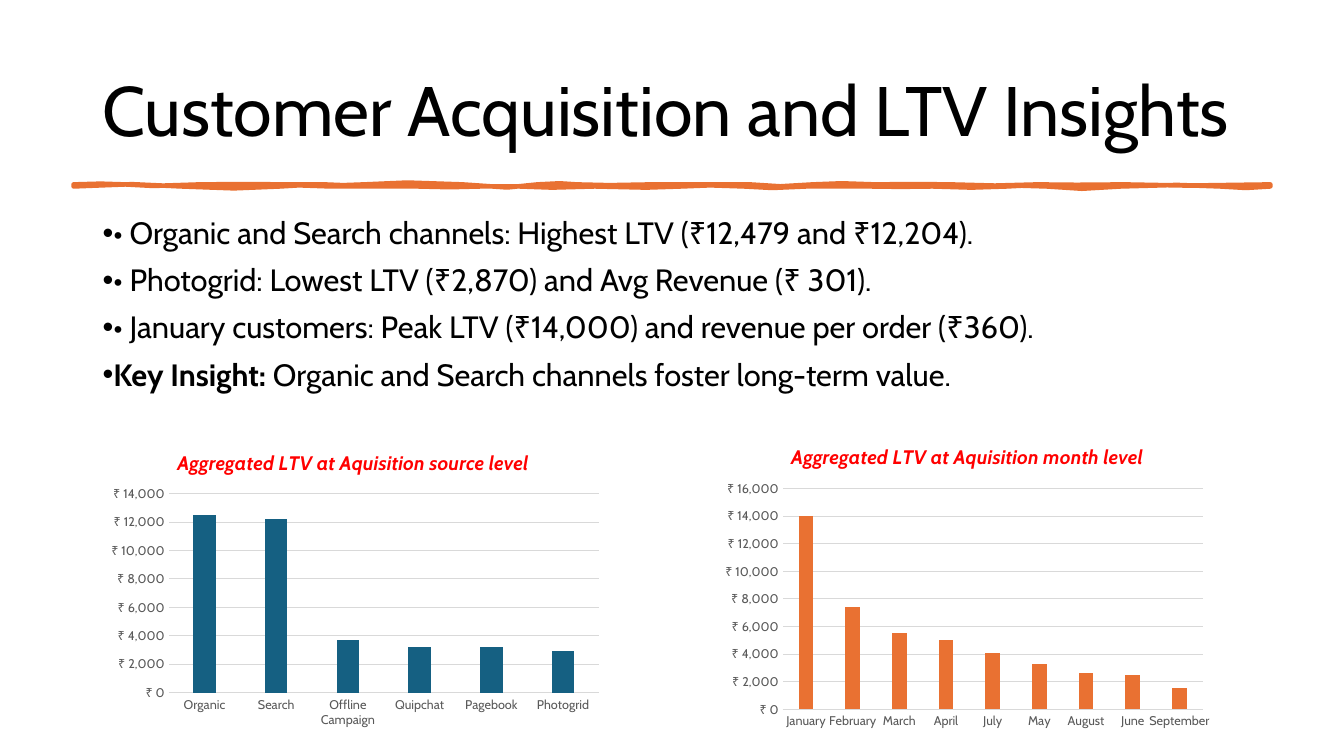
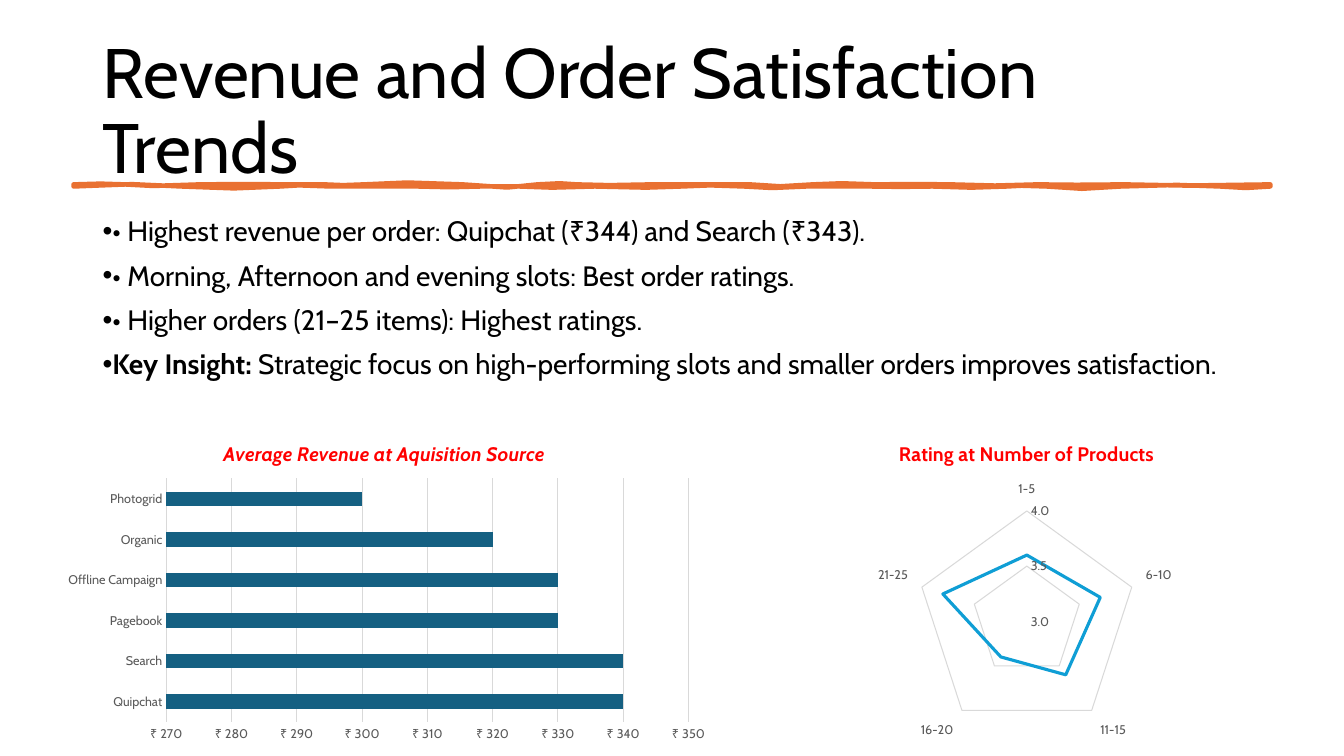
"""Build two customer insight slides with bullets and charts."""
import dataclasses

import lxml.etree
import pptx
import pptx.chart.data
import pptx.dml.color
import pptx.enum.chart
import pptx.enum.text
import pptx.oxml.ns
import pptx.util

Inches = pptx.util.Inches
Pt = pptx.util.Pt
qn = pptx.oxml.ns.qn
ChartType = pptx.enum.chart.XL_CHART_TYPE


def rgb(code):
    return pptx.dml.color.RGBColor.from_string(code)


@dataclasses.dataclass(frozen=True)
class Theme:
    font: str = "Cabin"
    bullet_font: str = "Arial"
    ink: str = "000000"
    label: str = "595959"
    grid: str = "D9D9D9"
    heading: str = "FF0000"
    orange: str = "E97132"
    teal: str = "156082"
    sky: str = "0F9ED5"
    title_size: int = 50
    heading_size: int = 14
    chart_size: int = 10
    label_size: int = 9


THEME = Theme()
RUPEES = '"₹"\\ #,##0'
KEY_INSIGHT = "Key Insight: "
BRUSH_START = (0.73, 1.83)
BRUSH_CURVES = [
    (0.89, 1.81, 1.11, 1.83, 1.24, 1.83), (1.36, 1.84, 1.62, 1.86, 1.98, 1.83),
    (2.34, 1.81, 2.51, 1.84, 2.84, 1.83), (3.17, 1.83, 3.07, 1.83, 3.22, 1.83),
    (3.38, 1.84, 3.42, 1.84, 3.61, 1.83), (3.8, 1.82, 4.24, 1.79, 4.59, 1.83),
    (4.94, 1.88, 5.17, 1.86, 5.33, 1.83), (5.49, 1.81, 5.63, 1.82, 5.72, 1.83),
    (5.81, 1.85, 6.25, 1.83, 6.46, 1.83), (6.67, 1.84, 7.23, 1.82, 7.44, 1.83),
    (7.65, 1.85, 7.82, 1.86, 8.06, 1.83), (8.3, 1.81, 8.38, 1.82, 8.68, 1.83),
    (8.99, 1.85, 9.14, 1.8, 9.43, 1.83), (9.72, 1.87, 10.02, 1.82, 10.29, 1.83),
    (10.55, 1.85, 10.78, 1.82, 11.15, 1.83), (11.51, 1.85, 11.99, 1.84, 12.6, 1.83),
    (12.6, 1.84, 12.6, 1.84, 12.6, 1.85), (12.42, 1.87, 12.3, 1.87, 12.1, 1.85),
    (11.9, 1.84, 11.49, 1.82, 11.12, 1.85), (10.75, 1.89, 10.7, 1.87, 10.38, 1.85),
    (10.05, 1.84, 10.18, 1.84, 9.99, 1.85), (9.8, 1.87, 9.48, 1.86, 9.25, 1.85),
    (9.02, 1.85, 8.84, 1.86, 8.63, 1.85), (8.41, 1.85, 8.28, 1.85, 8, 1.85),
    (7.73, 1.86, 7.57, 1.88, 7.38, 1.85), (7.19, 1.83, 6.88, 1.84, 6.76, 1.85),
    (6.63, 1.87, 6.24, 1.86, 5.9, 1.85), (5.55, 1.85, 5.37, 1.88, 5.15, 1.85),
    (4.94, 1.83, 4.91, 1.87, 4.77, 1.85), (4.63, 1.84, 4.3, 1.88, 4.14, 1.85),
    (3.99, 1.83, 3.71, 1.87, 3.28, 1.85), (2.86, 1.83, 3.03, 1.84, 2.78, 1.85),
    (2.53, 1.87, 2.13, 1.88, 1.8, 1.85), (1.47, 1.82, 1.18, 1.82, 0.73, 1.85),
]


def brush_points(steps=2):
    x0, y0 = BRUSH_START
    for x1, y1, x2, y2, x3, y3 in BRUSH_CURVES:
        for step in range(1, steps + 1):
            t = step / steps
            weights = ((1 - t) ** 3, 3 * t * (1 - t) ** 2, 3 * t * t * (1 - t), t ** 3)
            x, y = (sum(w * c for w, c in zip(weights, axis))
                    for axis in ((x0, x1, x2, x3), (y0, y1, y2, y3)))
            yield Inches(x), Inches(y)
        x0, y0 = x3, y3


def place(parent, index, **fractions):
    for old in parent.findall(qn("c:layout")):
        parent.remove(old)
    layout = lxml.etree.Element(qn("c:layout"))
    parent.insert(index, layout)
    manual = lxml.etree.SubElement(layout, qn("c:manualLayout"))
    settings = {"xMode": "edge", "yMode": "edge", **fractions}
    if "w" in fractions:
        settings = {"layoutTarget": "inner", **settings}
    for tag, value in settings.items():
        lxml.etree.SubElement(manual, qn(f"c:{tag}")).set("val", str(value))


class Deck:
    def __init__(self, theme):
        self.theme = theme
        self.presentation = pptx.Presentation()
        self.presentation.slide_width = Inches(13.33)
        self.presentation.slide_height = Inches(7.5)
        self.slide = None

    def style(self, font, size, color, bold=None, italic=None):
        font.name, font.size = self.theme.font, Pt(size)
        font.color.rgb = rgb(color)
        font.bold, font.italic = bold, italic

    def text_frame(self, top, height):
        frame = self.slide.shapes.add_textbox(
            Inches(0.92), Inches(top), Inches(11.5), Inches(height)).text_frame
        frame.word_wrap = True
        return frame

    def add_slide(self, title):
        self.slide = self.presentation.slides.add_slide(self.presentation.slide_layouts[6])
        frame = self.text_frame(0.4, 1.45)
        frame.vertical_anchor = pptx.enum.text.MSO_ANCHOR.MIDDLE
        heading = frame.paragraphs[0]
        heading.text = title
        heading.line_spacing = 0.9
        self.style(heading.font, self.theme.title_size, self.theme.ink)
        self.add_brush_rule()

    def add_brush_rule(self):
        start_x, start_y = BRUSH_START
        builder = self.slide.shapes.build_freeform(Inches(start_x), Inches(start_y))
        builder.add_line_segments(list(brush_points()), close=True)
        rule = builder.convert_to_shape()
        rule.shadow.inherit = False
        rule.fill.solid()
        rule.fill.fore_color.rgb = rgb(self.theme.orange)
        rule.line.color.rgb = rgb(self.theme.orange)
        rule.line.width = Pt(3.25)

    def add_bullets(self, size, findings, insight):
        frame = self.text_frame(2.11, 4.65)
        for number, finding in enumerate([*findings, insight]):
            point = frame.add_paragraph() if number else frame.paragraphs[0]
            properties = point._p.get_or_add_pPr()
            properties.set("marL", "0")
            properties.set("indent", str(-Inches(0.25)))
            lxml.etree.SubElement(properties, qn("a:buFont")).set(
                "typeface", self.theme.bullet_font)
            lxml.etree.SubElement(properties, qn("a:buChar")).set("char", "•")
            point.line_spacing = 0.9
            if number:
                point.space_before = Pt(10)
            if finding is insight:
                lead = point.add_run()
                lead.text = KEY_INSIGHT
                lead.font.bold = True
            point.add_run().text = finding
            self.style(point.font, size, self.theme.ink)

    def add_chart(self, kind, box, title, values, color, plot_area, title_x,
                  number_format=RUPEES, scale=None, gap=219, overlap=0, italic=True):
        theme = self.theme
        data = pptx.chart.data.CategoryChartData()
        data.categories = list(values)
        data.add_series("Series 1", list(values.values()))
        chart = self.slide.shapes.add_chart(kind, *map(Inches, box), data).chart
        chart.has_legend = False
        self.style(chart.font, theme.chart_size, theme.ink)

        chart.has_title = True
        heading = chart.chart_title.text_frame.paragraphs[0]
        heading.text = title
        self.style(heading.font, theme.heading_size, theme.heading, True, italic)
        place(chart.chart_title._element, 1, x=title_x, y=0.04)
        x, y, w, h = plot_area
        place(chart._chartSpace.chart.plotArea, 0, x=x, y=y, w=w, h=h)

        for axis in (chart.category_axis, chart.value_axis):
            axis.major_tick_mark = axis.minor_tick_mark = pptx.enum.chart.XL_TICK_MARK.NONE
            self.style(axis.tick_labels.font, theme.label_size, theme.label)
        chart.category_axis.has_major_gridlines = False
        chart.value_axis.has_major_gridlines = True
        for line in (chart.category_axis.format.line,
                     chart.value_axis.major_gridlines.format.line):
            line.color.rgb = rgb(theme.grid)
            line.width = Pt(0.75)
        chart.value_axis.format.line.fill.background()
        chart.value_axis.tick_labels.number_format = number_format
        chart.value_axis.tick_labels.number_format_is_linked = False
        if scale:
            (chart.value_axis.minimum_scale, chart.value_axis.maximum_scale,
             chart.value_axis.major_unit) = scale

        plot = chart.plots[0]
        plot.vary_by_categories = False
        series = plot.series[0]
        if kind == ChartType.RADAR:
            series.format.line.color.rgb = rgb(color)
            series.format.line.width = Pt(2.25)
        else:
            plot.gap_width = gap
            plot.overlap = overlap
            series.format.fill.solid()
            series.format.fill.fore_color.rgb = rgb(color)


def main():
    deck = Deck(THEME)

    deck.add_slide("Customer Acquisition and LTV Insights")
    deck.add_bullets(22, [
        "• Organic and Search channels: Highest LTV (₹12,479 and ₹12,204).",
        "• Photogrid: Lowest LTV (₹2,870) and Avg Revenue (₹ 301).",
        "• January customers: Peak LTV (₹14,000) and revenue per order (₹360).",
    ], "Organic and Search channels foster long-term value.")
    deck.add_chart(
        ChartType.COLUMN_CLUSTERED, (1.02, 4.3, 5.02, 2.99),
        "Aggregated LTV at Aquisition source level",
        {"Organic": 12500, "Search": 12200, "Offline Campaign": 3700,
         "Quipchat": 3200, "Pagebook": 3200, "Photogrid": 2900},
        THEME.teal, (0.13, 0.2, 0.85, 0.66), 0.14, scale=(0, 14000, 2000), overlap=-27)
    deck.add_chart(
        ChartType.COLUMN_CLUSTERED, (7.11, 4.24, 5.02, 3.04),
        "Aggregated LTV at Aquisition month level",
        {"January": 14000, "February": 7400, "March": 5500, "April": 5000, "July": 4100,
         "May": 3300, "August": 2600, "June": 2500, "September": 1500},
        THEME.orange, (0.13, 0.2, 0.83, 0.72), 0.14, scale=(0, 16000, 2000), overlap=-27)

    deck.add_slide("Revenue and Order Satisfaction Trends")
    deck.add_bullets(20, [
        "• Highest revenue per order: Quipchat (₹344) and Search (₹343).",
        "• Morning, Afternoon and evening slots: Best order ratings.",
        "• Higher orders (21–25 items): Highest ratings.",
    ], "Strategic focus on high-performing slots and smaller orders improves satisfaction.")
    deck.add_chart(
        ChartType.RADAR, (7.77, 4.2, 4.83, 3.22), "Rating at Number of Products",
        {"1-5": 3.6, "6-10": 3.7, "11-15": 3.6, "16-20": 3.4, "21-25": 3.8},
        THEME.sky, (0.27, 0.27, 0.46, 0.68), 0.23,
        number_format="0.0", scale=(3, 4, 0.5), italic=False)
    deck.add_chart(
        ChartType.BAR_CLUSTERED, (0.52, 4.2, 6.64, 3.22),
        "Average Revenue at Aquisition Source",
        {"Quipchat": 340, "Search": 340, "Pagebook": 330, "Offline Campaign": 330,
         "Organic": 320, "Photogrid": 300},
        THEME.teal, (0.17, 0.17, 0.78, 0.75), 0.25, scale=(270, 350, 10), gap=182)

    deck.presentation.save("out.pptx")


if __name__ == "__main__":
    main()
